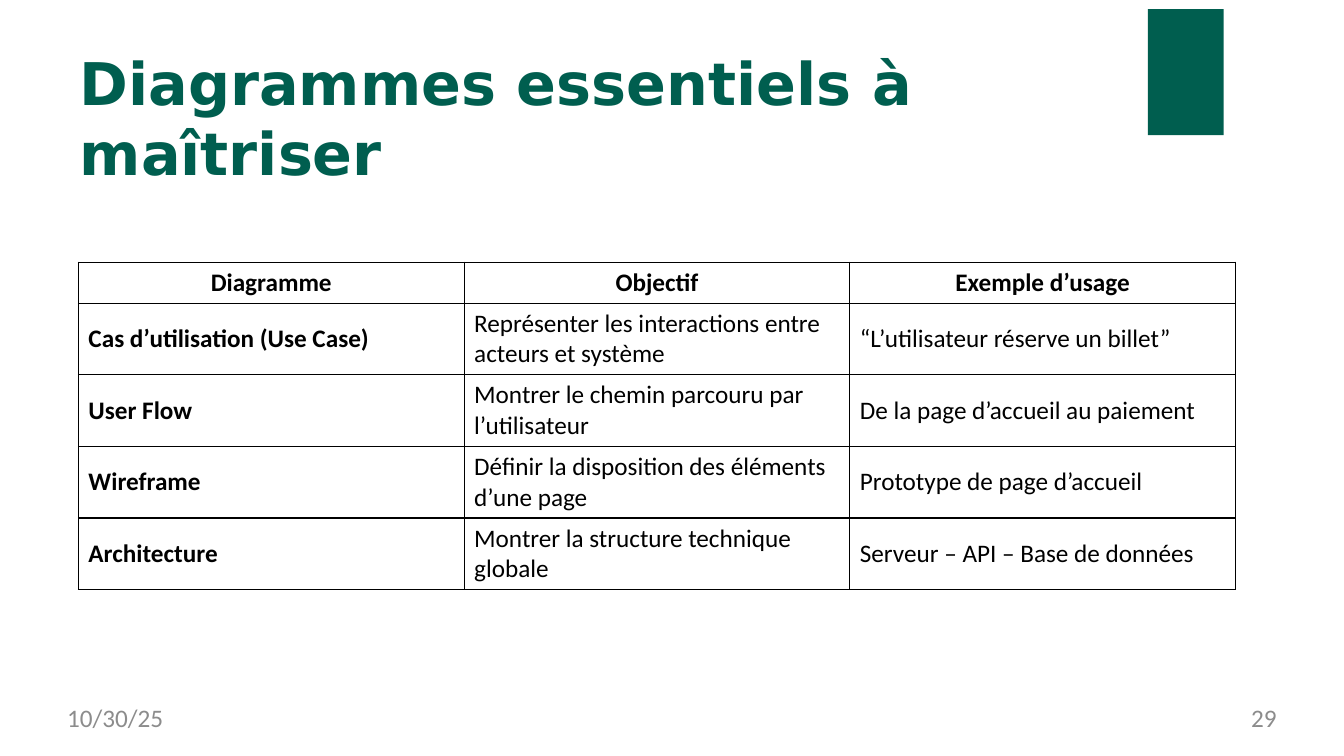
from lxml.etree import SubElement
from pptx import Presentation
from pptx.dml.color import RGBColor
from pptx.enum.shapes import MSO_SHAPE as Shape
from pptx.enum.text import MSO_ANCHOR as Anchor, MSO_AUTO_SIZE as AutoSize, PP_ALIGN as Align
from pptx.oxml.ns import qn
from pptx.util import Pt

GREEN, GREY, BLACK = "005E4F", "8C8C8C", "000000"
HEADINGS = ["Diagramme", "Objectif", "Exemple d’usage"]
DIAGRAMS = [
    ["Cas d’utilisation (Use Case)", "Représenter les interactions entre acteurs et système",
     "“L’utilisateur réserve un billet”"],
    ["User Flow", "Montrer le chemin parcouru par l’utilisateur", "De la page d’accueil au paiement"],
    ["Wireframe", "Définir la disposition des éléments d’une page", "Prototype de page d’accueil"],
    ["Architecture", "Montrer la structure technique globale", "Serveur – API – Base de données"],
]


def color(value):
    """Turn a hex string into a colour."""
    return RGBColor.from_string(value)


def write(frame, text, size, tint, font="Calibri", bold=False, align=Align.LEFT):
    """Add one formatted span to the first paragraph of a frame."""
    para = frame.paragraphs[0]
    para.alignment = align
    span = para.add_run()
    span.text = text
    span.font.name, span.font.size, span.font.bold = font, Pt(size), bold
    span.font.color.rgb = color(tint)


def place(shape, box):
    """Move a shape to a box given in points."""
    shape.left, shape.top, shape.width, shape.height = map(Pt, box)


def bare_frame(shape):
    """Return the text frame of a shape, wrapped, top-anchored and without insets."""
    frame = shape.text_frame
    frame.word_wrap, frame.auto_size = True, AutoSize.NONE
    frame.vertical_anchor = Anchor.TOP
    frame.margin_left = frame.margin_top = frame.margin_right = frame.margin_bottom = 0
    return frame


def add_corner(page, box):
    """Draw the green block at the top edge."""
    block = page.shapes.add_shape(Shape.RECTANGLE, *map(Pt, box))
    block.shadow.inherit = False
    block.fill.solid()
    block.fill.fore_color.rgb = color(GREEN)
    block.line.fill.background()


def add_title(page, box, text):
    """Fill and place the title placeholder."""
    title = page.shapes.title
    place(title, box)
    write(bare_frame(title), text, 42, GREEN, "DejaVu Sans", True)


def add_footer(page, box, date, number):
    """Write the date and the page number at the two ends of the box."""
    left, top, width, height = box
    part = 221
    for offset, text, align in ((0, date, Align.LEFT), (width - part, number, Align.RIGHT)):
        note = page.shapes.add_textbox(*map(Pt, (left + offset, top, part, height)))
        write(bare_frame(note), text, 18, GREY, align=align)


def outline(cell):
    """Give a cell thin black borders on all sides."""
    props = cell._tc.get_or_add_tcPr()
    for position, side in enumerate(("a:lnL", "a:lnR", "a:lnT", "a:lnB")):
        line = props.makeelement(qn(side), {"w": str(Pt(1))})
        props.insert(position, line)
        fill = SubElement(line, qn("a:solidFill"))
        SubElement(fill, qn("a:srgbClr"), val=BLACK)


def add_diagram_table(page, box, headings, rows):
    """Build the bordered table with a heading row and bold first column."""
    lines = [headings, *rows]
    heading_height = 29
    table = page.shapes.add_table(len(lines), len(headings), *map(Pt, box)).table
    table.first_row = table.horz_banding = False
    for column in table.columns:
        column.width = Pt(box[2] / len(headings))
    for index, texts in enumerate(lines):
        is_heading = index == 0
        height = heading_height if is_heading else (box[3] - heading_height) / len(rows)
        table.rows[index].height = Pt(height)
        for place_in_row, text in enumerate(texts):
            cell = table.cell(index, place_in_row)
            cell.fill.background()
            cell.vertical_anchor = Anchor.MIDDLE
            outline(cell)
            write(cell.text_frame, text, 18, BLACK, bold=is_heading or place_in_row == 0,
                  align=Align.CENTER if is_heading else Align.LEFT)


def main():
    """Build the slide and save the deck."""
    deck = Presentation()
    deck.slide_width, deck.slide_height = Pt(960), Pt(540)
    page = deck.slides.add_slide(deck.slide_layouts[5])
    add_corner(page, (820, 6.5, 54, 90))
    add_title(page, (57, 33, 744.5, 101.5), "Diagrammes essentiels à maîtriser")
    add_footer(page, (48, 502, 864, 27), "10/30/25", "29")
    add_diagram_table(page, (56, 187.3, 826.5, 233), HEADINGS, DIAGRAMS)
    deck.save("out.pptx")


if __name__ == "__main__":
    main()
